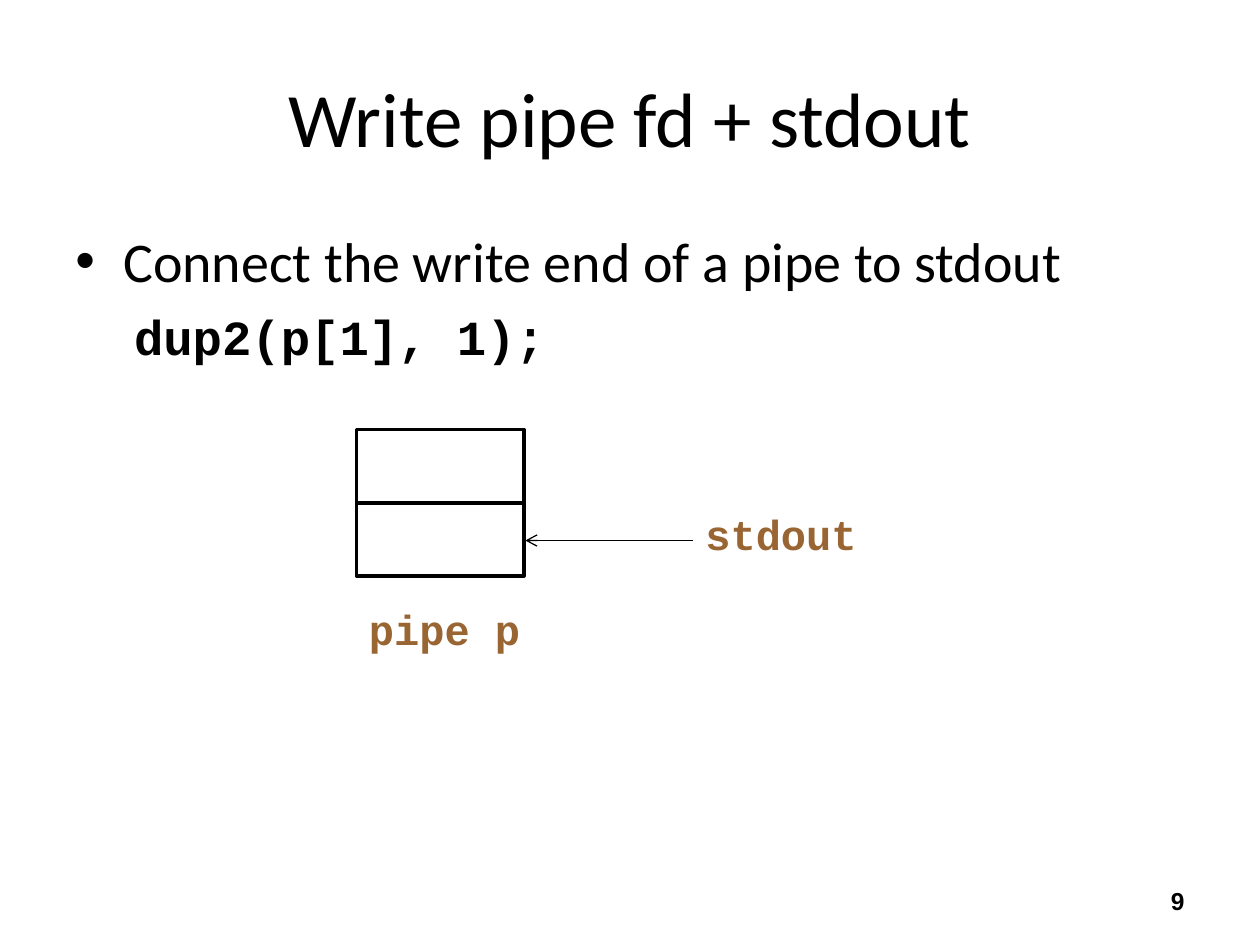
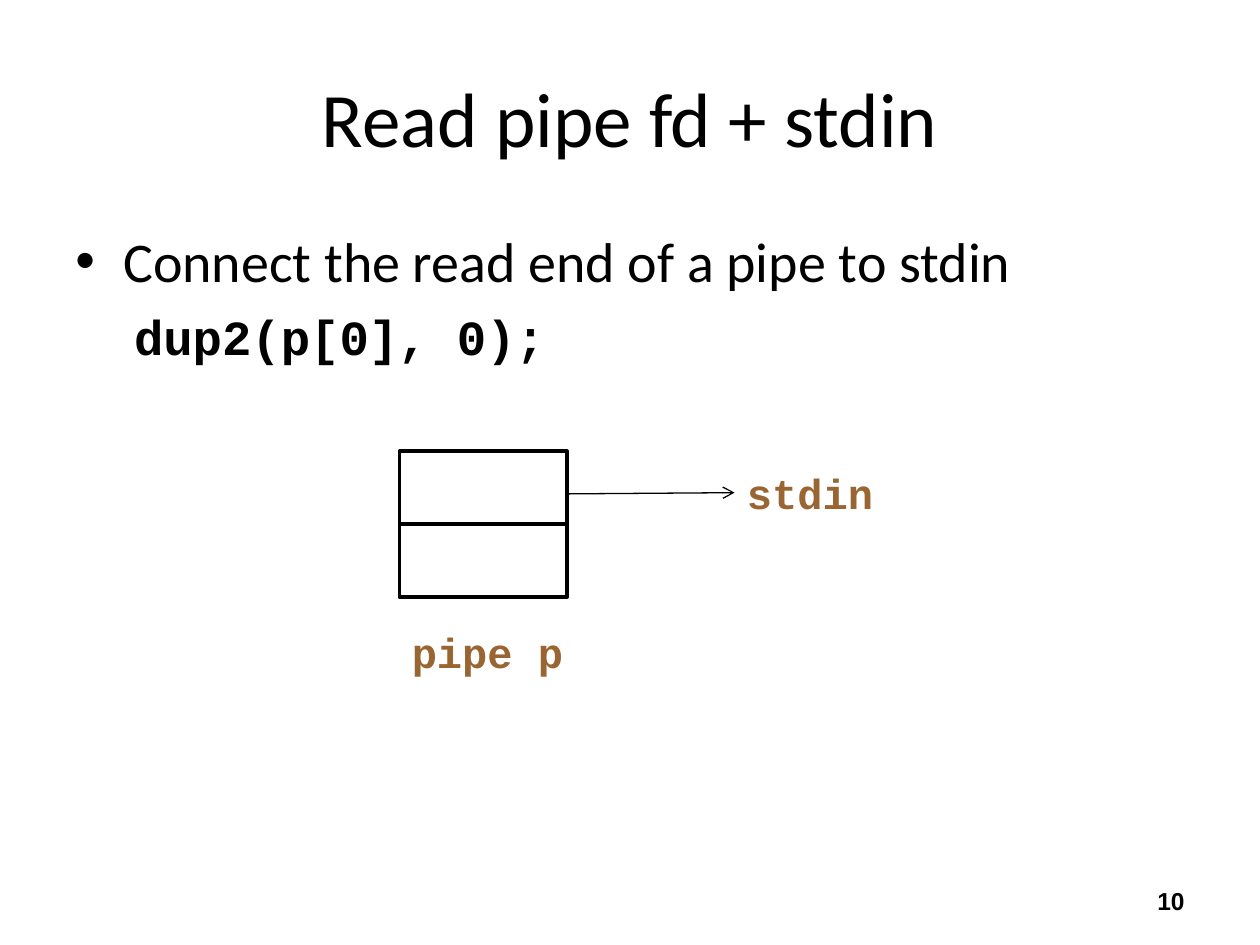
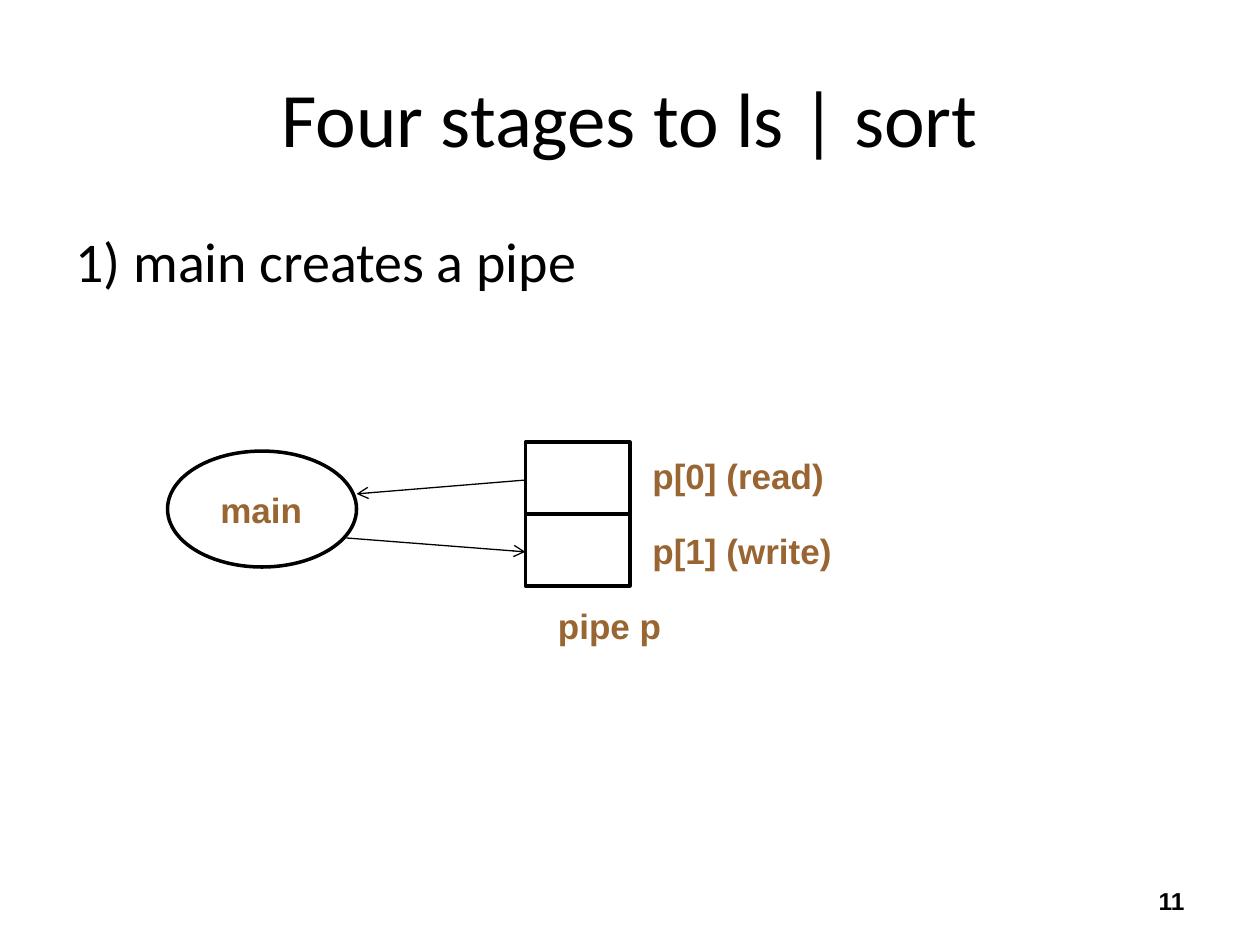
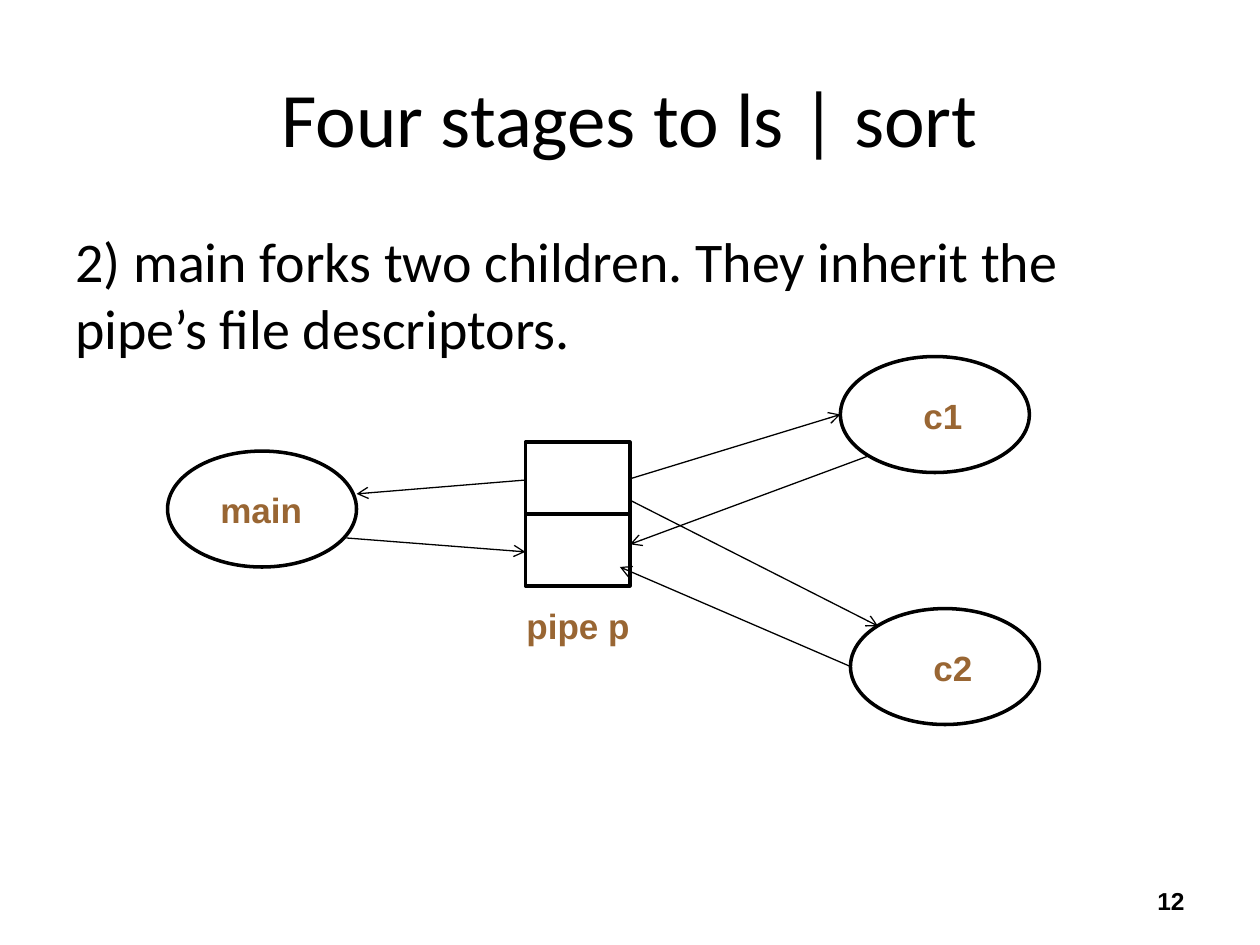
from dataclasses import dataclass

from lxml import etree
from pptx import Presentation
from pptx.dml.color import RGBColor
from pptx.enum.shapes import MSO_CONNECTOR, MSO_SHAPE
from pptx.enum.text import MSO_ANCHOR, MSO_AUTO_SIZE, PP_ALIGN
from pptx.oxml.ns import qn
from pptx.util import Inches, Pt

STRAIGHT = MSO_CONNECTOR.STRAIGHT
RECTANGLE, OVAL = MSO_SHAPE.RECTANGLE, MSO_SHAPE.OVAL
TOP, MIDDLE = MSO_ANCHOR.TOP, MSO_ANCHOR.MIDDLE
GROW = MSO_AUTO_SIZE.SHAPE_TO_FIT_TEXT
LEFT, CENTER, RIGHT = PP_ALIGN.LEFT, PP_ALIGN.CENTER, PP_ALIGN.RIGHT


@dataclass(frozen=True)
class TextStyle:
    font: str
    size: int
    color: RGBColor
    bold: bool = False


@dataclass(frozen=True)
class Theme:
    black = RGBColor(0x00, 0x00, 0x00)
    white = RGBColor(0xFF, 0xFF, 0xFF)
    brown = RGBColor(0x99, 0x66, 0x33)
    outline = Pt(2)
    arrow = Pt(0.75)
    title = TextStyle("Calibri", 44, black)
    body = TextStyle("Calibri", 32, black)
    code = TextStyle("Courier New", 28, black, True)
    number = TextStyle("Arial", 14, black, True)
    code_label = TextStyle("Courier New", 24, brown, True)
    label = TextStyle("Arial", 20, brown, True)


THEME = Theme()


@dataclass(frozen=True)
class Label:
    text: str
    left: float
    top: float
    width: float
    style: TextStyle = THEME.label
    indent: float = 0


@dataclass(frozen=True)
class Pipe:
    left: float
    top: float
    width: float
    cell_height: float


@dataclass(frozen=True)
class Process:
    name: str
    left: float
    top: float
    name_indent: float


@dataclass(frozen=True)
class Arrow:
    start: tuple[float, float]
    end: tuple[float, float]


@dataclass(frozen=True)
class Page:
    title: str
    text: str
    pipe: Pipe
    labels: tuple[Label, ...]
    arrows: tuple[Arrow, ...]
    processes: tuple[Process, ...] = ()
    code: str = ""


MAIN = Process("main", 1.33, 3.58, 0.15)
CHILDREN = (Process("c1", 6.67, 2.83, 0.39), Process("c2", 6.75, 4.83, 0.39))
STAGE_TITLE = "Four stages to ls | sort"
STAGE_PIPE = Pipe(4.17, 3.51, 0.83, 0.57)
MAIN_ARROWS = (Arrow((4.17, 3.81), (2.83, 3.92)), Arrow((2.75, 4.27), (4.17, 4.38)))
CHILD_ARROWS = (
    Arrow((5, 3.8), (6.67, 3.29)),
    Arrow((6.89, 3.62), (5, 4.32)),
    Arrow((5, 3.97), (6.97, 4.97)),
    Arrow((6.75, 5.29), (4.92, 4.5)),
)

FIRST_NUMBER = 9
PAGES = (
    Page(
        "Write pipe fd + stdout",
        "Connect the write end of a pipe to stdout",
        Pipe(2.83, 3.41, 1.33, 0.58),
        (
            Label("stdout", 5.5, 3.99, 1.67, THEME.code_label),
            Label("pipe p", 2.83, 4.74, 1.5, THEME.code_label),
        ),
        (Arrow((5.5, 4.29), (4.17, 4.29)),),
        code="  dup2(p[1], 1);",
    ),
    Page(
        "Read pipe fd + stdin",
        "Connect the read end of a pipe to stdin",
        Pipe(3.17, 3.58, 1.33, 0.58),
        (
            Label("stdin", 5.83, 3.66, 1.67, THEME.code_label),
            Label("pipe p", 3.17, 4.92, 1.5, THEME.code_label),
        ),
        (Arrow((4.5, 3.92), (5.83, 3.91)),),
        code="  dup2(p[0], 0);",
    ),
    Page(
        STAGE_TITLE,
        "1) main creates a pipe",
        STAGE_PIPE,
        (
            Label("pipe p", 4.33, 4.75, 1.67),
            Label("p[0] (read)", 5.08, 3.56, 2.25),
            Label("p[1] (write)", 5.08, 4.15, 2.25),
        ),
        MAIN_ARROWS,
        (MAIN,),
    ),
    Page(
        STAGE_TITLE,
        "2) main forks two children. They inherit the pipe’s file descriptors.",
        STAGE_PIPE,
        (Label("pipe p", 4.08, 4.75, 1.67),),
        MAIN_ARROWS + CHILD_ARROWS,
        (MAIN, *CHILDREN),
    ),
)


def style_paragraph(para, text: str, style: TextStyle, align=LEFT) -> None:
    para.text = text
    para.alignment = align
    para.font.name = style.font
    para.font.size = Pt(style.size)
    para.font.bold = style.bold
    para.font.color.rgb = style.color


def set_indent(para, left: float, first: float = 0) -> None:
    properties = para._p.get_or_add_pPr()
    properties.set("marL", str(Inches(left)))
    properties.set("indent", str(Inches(first)))


def add_text(slide, text: str, style: TextStyle, left: float, top: float,
             width: float, height: float, anchor=TOP, align=LEFT):
    box = slide.shapes.add_textbox(Inches(left), Inches(top), Inches(width), Inches(height))
    frame = box.text_frame
    frame.word_wrap = True
    frame.vertical_anchor = anchor
    style_paragraph(frame.paragraphs[0], text, style, align)
    return frame


def add_body(slide, page: Page) -> None:
    """Add the page text, bulleted when a line of code follows it."""
    frame = add_text(slide, page.text, THEME.body, 0.5, 1.75, 9, 4.95)
    if not page.code:
        return
    bulleted = frame.paragraphs[0]
    set_indent(bulleted, 0.38, -0.38)
    properties = bulleted._p.get_or_add_pPr()
    bullet = etree.Element(qn("a:buChar"), char="•")
    properties.insert(0, bullet)
    bullet_font = etree.Element(qn("a:buFont"), typeface="Arial")
    properties.insert(0, bullet_font)
    code = frame.add_paragraph()
    set_indent(code, 0.38, -0.38)
    code.space_before = Pt(7)
    style_paragraph(code, page.code, THEME.code)


def add_label(slide, label: Label) -> None:
    height = 0.5 if label.style is THEME.code_label else 0.44
    frame = add_text(slide, label.text, label.style, label.left, label.top, label.width, height)
    frame.auto_size = GROW
    if label.indent:
        set_indent(frame.paragraphs[0], label.indent)


def add_outline(slide, kind, left: float, top: float, width: float, height: float) -> None:
    shape = slide.shapes.add_shape(kind, Inches(left), Inches(top), Inches(width), Inches(height))
    shape.shadow.inherit = False
    shape.fill.solid()
    shape.fill.fore_color.rgb = THEME.white
    shape.line.color.rgb = THEME.black
    shape.line.width = THEME.outline


def add_pipe(slide, pipe: Pipe) -> None:
    for cell in range(2):
        top = pipe.top + cell * pipe.cell_height
        add_outline(slide, RECTANGLE, pipe.left, top, pipe.width, pipe.cell_height)


def add_process(slide, process: Process) -> None:
    add_outline(slide, OVAL, process.left, process.top, 1.5, 0.92)
    add_label(slide, Label(process.name, process.left + 0.17, process.top + 0.25, 1.75,
                           indent=process.name_indent))


def add_arrow(slide, arrow: Arrow) -> None:
    ends = [Inches(value) for value in (*arrow.start, *arrow.end)]
    connector = slide.shapes.add_connector(STRAIGHT, *ends)
    connector.line.color.rgb = THEME.black
    connector.line.width = THEME.arrow
    etree.SubElement(connector.line._get_or_add_ln(), qn("a:tailEnd"), type="arrow")
    etree.SubElement(connector._element.spPr, qn("a:effectLst"))


def add_page(deck, page: Page, number: int) -> None:
    slide = deck.slides.add_slide(deck.slide_layouts[6])
    add_text(slide, page.title, THEME.title, 0.5, 0.3, 9, 1.25, MIDDLE, CENTER)
    add_body(slide, page)
    add_text(slide, str(number), THEME.number, 7.17, 6.95, 2.33, 0.4, MIDDLE, RIGHT)
    add_pipe(slide, page.pipe)
    for process in page.processes:
        add_process(slide, process)
    for label in page.labels:
        add_label(slide, label)
    for arrow in page.arrows:
        add_arrow(slide, arrow)


def main() -> None:
    deck = Presentation()
    deck.slide_width = Inches(10)
    deck.slide_height = Inches(7.5)
    for number, page in enumerate(PAGES, FIRST_NUMBER):
        add_page(deck, page, number)
    deck.save("out.pptx")


if __name__ == "__main__":
    main()
